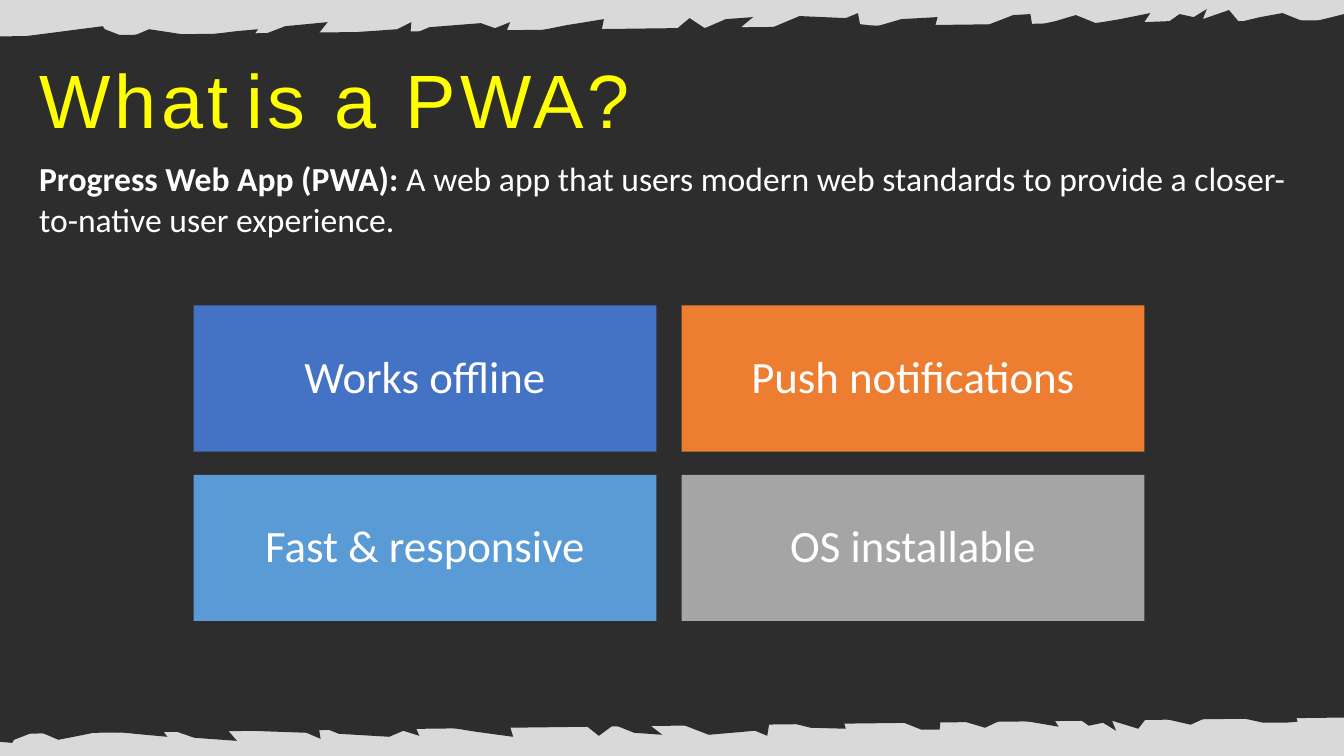
from pptx import Presentation
from pptx.dml.color import RGBColor
from pptx.enum.shapes import MSO_SHAPE
from pptx.enum.text import MSO_ANCHOR, PP_ALIGN
from pptx.util import Inches, Pt

COLS, ROWS = 1333, 750  # fine grid over the slide
CELL = Inches(0.01)
COLORS = {
    "paper": "D9D9D9", "panel": "2D2D2D", "title": "FFFF00", "text": "FFFFFF",
    "gap": "000000", "blue": "4472C4", "orange": "ED7D31",
    "sky": "5B9BD5", "grey": "A5A5A5",
}

TORN_TOP = [
    (0, 37), (17, 37), (102, 26), (104, 29), (127, 38), (148, 29), (194, 36),
    (234, 31), (256, 29), (249, 39), (283, 26), (325, 22), (314, 36), (339, 33),
    (394, 29), (408, 22), (407, 35), (426, 27), (477, 23), (491, 28), (506, 22),
    (502, 32), (532, 31), (562, 25), (599, 19), (597, 29), (631, 34), (666, 33),
    (684, 18), (699, 28), (720, 19), (747, 17), (735, 27), (762, 29), (793, 16),
    (839, 18), (851, 13), (853, 24), (870, 26), (894, 19), (930, 17), (927, 28),
    (974, 27), (1005, 15), (1022, 14), (1024, 26), (1047, 21), (1067, 15),
    (1087, 23), (1111, 19), (1141, 13), (1135, 22), (1160, 21), (1170, 14),
    (1184, 17), (1197, 9), (1193, 19), (1219, 10), (1229, 22), (1250, 17),
    (1272, 13), (1297, 23), (1333, 14), (1333, 43),
]
TORN_BOTTOM = [
    (0, 729), (0, 736), (12, 737), (14, 734), (37, 725), (58, 734), (103, 725),
    (144, 729), (166, 731), (158, 720), (193, 732), (235, 735), (224, 722),
    (248, 725), (304, 727), (318, 733), (316, 720), (336, 728), (386, 731),
    (400, 725), (416, 730), (412, 721), (441, 721), (472, 726), (509, 731),
    (506, 721), (541, 715), (575, 715), (594, 730), (609, 719), (629, 727),
    (657, 729), (644, 719), (672, 717), (703, 729), (749, 725), (761, 730),
    (763, 718), (780, 716), (804, 722), (839, 723), (836, 713), (884, 712),
    (914, 724), (932, 724), (933, 713), (957, 716), (977, 722), (996, 713),
    (1021, 716), (1050, 721), (1045, 713), (1070, 713), (1080, 720),
    (1094, 717), (1107, 725), (1103, 715), (1129, 723), (1139, 710),
    (1159, 714), (1181, 719), (1207, 707), (1253, 717), (1275, 717),
    (1287, 716), (1278, 686), (0, 686),
]


class SlideBuilder:
    """Holds the deck, the current slide and its style."""

    def __init__(self):
        """Open a title-only slide on the paper colour."""
        self.deck = Presentation()
        self.deck.slide_width, self.deck.slide_height = COLS * CELL, ROWS * CELL
        self.slide = self.deck.slides.add_slide(self.deck.slide_layouts[5])
        self.paint(self.slide.background.fill, "paper")

    def paint(self, fill, color):
        """Make a fill solid in a named colour."""
        fill.solid()
        fill.fore_color.rgb = RGBColor.from_string(COLORS[color])

    def flat(self, shape, color):
        """Give a shape a plain fill without line or shadow."""
        self.paint(shape.fill, color)
        shape.line.fill.background()
        shape.shadow.inherit = False

    def run(self, paragraph, text, size, color="text", font="Calibri",
            bold=False, spacing=0):
        """Append a styled run; spacing is in points."""
        run = paragraph.add_run()
        run.text = text
        run.font.name, run.font.size, run.font.bold = font, Pt(size), bold
        run.font.color.rgb = RGBColor.from_string(COLORS[color])
        if spacing:
            run.font._element.set("spc", str(spacing * 100))

    def rect(self, box, color, rotation=0):
        """Add a plain rectangle in grid units."""
        shape = self.slide.shapes.add_shape(
            MSO_SHAPE.RECTANGLE, *(value * CELL for value in box))
        shape.rotation = rotation
        self.flat(shape, color)
        return shape

    def outline(self, points, color):
        """Add a closed freeform through grid points."""
        builder = self.slide.shapes.build_freeform(*points[0], scale=CELL)
        builder.add_line_segments(points[1:], close=True)
        self.flat(builder.convert_to_shape(), color)

    def title(self, box, *runs):
        """Place the title above the panel and fill it with runs."""
        title = self.slide.shapes.title
        title.element.getparent().append(title.element)
        title.left, title.top, title.width, title.height = (v * CELL for v in box)
        frame = title.text_frame
        frame.word_wrap, frame.vertical_anchor = True, MSO_ANCHOR.MIDDLE
        paragraph = frame.paragraphs[0]
        paragraph.alignment, paragraph.line_spacing = PP_ALIGN.LEFT, 0.9
        for text, style in runs:
            self.run(paragraph, text, **style)

    def definition(self, box, term, meaning):
        """Add a bold term followed by its meaning."""
        frame = self.slide.shapes.add_textbox(*(v * CELL for v in box)).text_frame
        frame.word_wrap = True
        self.run(frame.paragraphs[0], term, 24, bold=True)
        self.run(frame.paragraphs[0], meaning, 24)

    def card(self, box, text, color):
        """Add a coloured card with a centred label."""
        frame = self.rect(box, color).text_frame
        frame.word_wrap, frame.vertical_anchor = True, MSO_ANCHOR.MIDDLE
        frame.margin_left = frame.margin_right = 20 * CELL
        frame.margin_top = frame.margin_bottom = 16 * CELL
        paragraph = frame.paragraphs[0]
        paragraph.alignment, paragraph.line_spacing = PP_ALIGN.CENTER, 0.9
        self.run(paragraph, text, 32)


def main():
    """Build and save the slide."""
    page = SlideBuilder()
    page.rect((-5, 28, 1343, 692), "panel", rotation=359.3)
    for edge in (TORN_TOP, TORN_BOTTOM):
        page.outline(edge, "panel")

    page.definition(
        (29, 152, 1274, 213), "Progress Web App (PWA): ",
        "A web app that users modern web standards to provide a "
        "closer-to-native user experience.")
    heading = dict(size=54, color="title", font="Arial", spacing=3)
    page.title((29, 54, 1275, 98), ("What", heading),
               (" ", dict(size=44, color="gap")), ("is a PWA?", heading))

    features = [("Works offline", "blue"), ("Push notifications", "orange"),
                ("Fast & responsive", "sky"), ("OS installable", "grey")]
    for index, (label, color) in enumerate(features):
        row, column = divmod(index, 2)
        page.card((192 + column * 484, 303 + row * 168, 459, 145), label, color)

    page.deck.save("out.pptx")


main()
